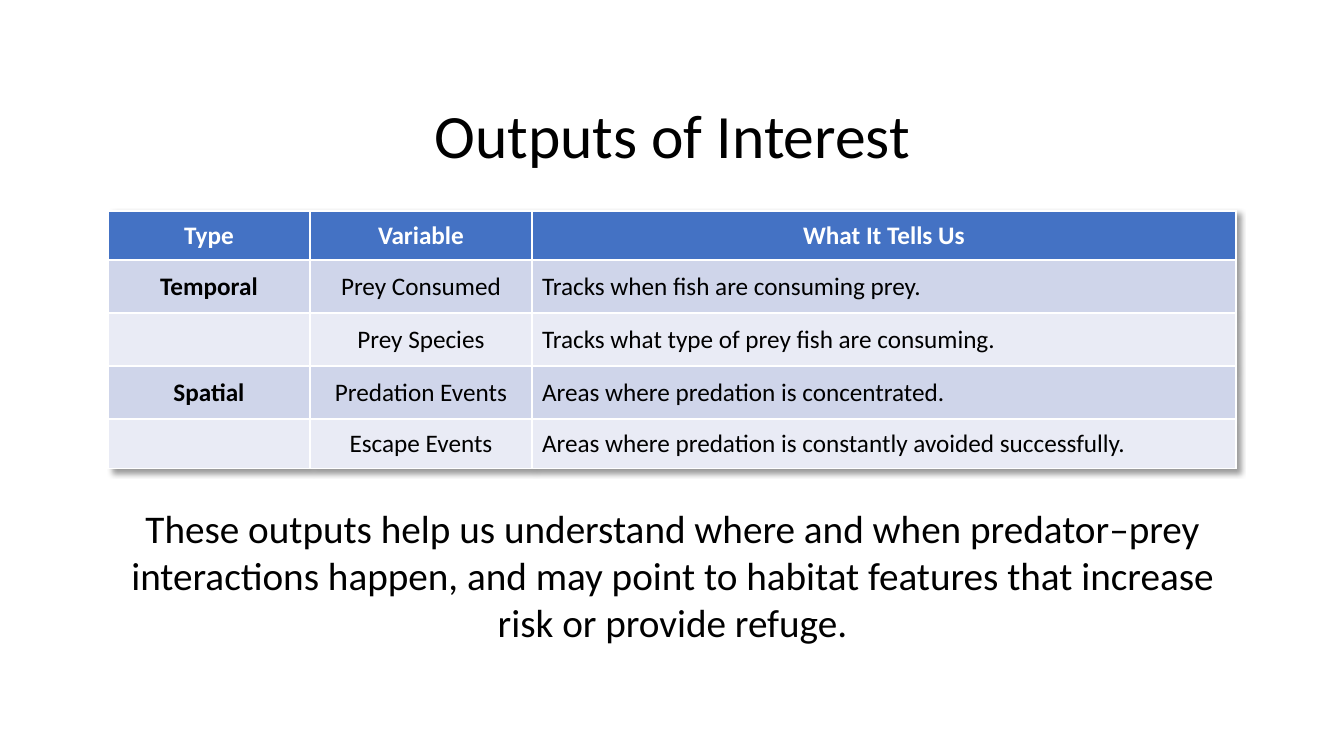
from lxml import etree
from pptx import Presentation
from pptx.dml.color import RGBColor
from pptx.enum.text import MSO_ANCHOR, PP_ALIGN
from pptx.oxml.ns import qn
from pptx.util import Emu, Pt

CENTER, LEFT = PP_ALIGN.CENTER, PP_ALIGN.LEFT
MIDDLE = MSO_ANCHOR.MIDDLE

BLACK = RGBColor(0x00, 0x00, 0x00)
WHITE = RGBColor(0xFF, 0xFF, 0xFF)
HEADER_BLUE = RGBColor(0x44, 0x72, 0xC4)
BAND_DARK = RGBColor(0xCF, 0xD5, 0xEA)
BAND_LIGHT = RGBColor(0xE9, 0xEB, 0xF5)

FONT = "Calibri"
TITLE_LAYOUT = 5
COLUMN_WIDTHS = (202, 222, 704)
ROW_HEIGHTS = (49, 53, 53, 53, 50)
OUTPUTS = (
    ("Type", "Variable", "What It Tells Us"),
    ("Temporal", "Prey Consumed", "Tracks when fish are consuming prey."),
    ("", "Prey Species", "Tracks what type of prey fish are consuming."),
    ("Spatial", "Predation Events", "Areas where predation is concentrated."),
    ("", "Escape Events",
     "Areas where predation is constantly avoided successfully."),
)
TAKEAWAY = (
    "These outputs help us understand where and when predator–prey "
    "interactions happen, and may point to habitat features that increase "
    "risk or provide refuge."
)


def px(length):
    """Convert pixels, 100.8 to the inch, to EMU."""
    return Emu(round(length * 914400 / 100.8))


def format_paragraph(paragraph, size, color, align, bold=False):
    paragraph.alignment = align
    font = paragraph.font
    font.name, font.size, font.bold = FONT, Pt(size), bold
    font.color.rgb = color


def add_title(slide, x, y, width, height):
    title = slide.shapes.title
    title.left, title.top = px(x), px(y)
    title.width, title.height = px(width), px(height)
    frame = title.text_frame
    frame.text = "Outputs of Interest"
    frame.vertical_anchor = MIDDLE
    heading = frame.paragraphs[0]
    heading.line_spacing = 0.9
    format_paragraph(heading, 44, BLACK, CENTER)


def add_table_shadow(table):
    """Cast a soft shadow down and to the right of the table."""
    effects = etree.Element(qn("a:effectLst"))
    shadow = etree.SubElement(
        effects, qn("a:outerShdw"), blurRad="50800", dist="38100",
        dir="2700000", algn="tl", rotWithShape="0")
    color = etree.SubElement(shadow, qn("a:prstClr"), val="black")
    etree.SubElement(color, qn("a:alpha"), val="40000")
    table._tbl.tblPr.insert(0, effects)


def add_outputs_table(slide, x, y):
    outputs = slide.shapes.add_table(
        len(ROW_HEIGHTS), len(COLUMN_WIDTHS), px(x), px(y),
        px(sum(COLUMN_WIDTHS)), px(sum(ROW_HEIGHTS))).table
    for column, width in zip(outputs.columns, COLUMN_WIDTHS):
        column.width = px(width)
    for row, height in zip(outputs.rows, ROW_HEIGHTS):
        row.height = px(height)
    for r, entries in enumerate(OUTPUTS):
        header = r == 0
        band = BAND_DARK if r % 2 else BAND_LIGHT
        for c, entry in enumerate(entries):
            cell = outputs.cell(r, c)
            cell.fill.solid()
            cell.fill.fore_color.rgb = HEADER_BLUE if header else band
            cell.vertical_anchor = MIDDLE
            cell.text = entry
            format_paragraph(
                cell.text_frame.paragraphs[0], 18,
                WHITE if header else BLACK,
                CENTER if header or c < 2 else LEFT,
                bold=header or c == 0)
    add_table_shadow(outputs)


def add_takeaway(slide, x, y, width, height):
    box = slide.shapes.add_textbox(px(x), px(y), px(width), px(height))
    frame = box.text_frame
    frame.word_wrap = True
    frame.text = TAKEAWAY
    format_paragraph(frame.paragraphs[0], 28, BLACK, CENTER)


def main():
    deck = Presentation()
    deck.slide_width, deck.slide_height = px(1344), px(756)
    slide = deck.slides.add_slide(deck.slide_layouts[TITLE_LAYOUT])
    add_title(slide, 93, 66, 1159, 146)
    add_outputs_table(slide, 108, 211)
    add_takeaway(slide, 100, 499, 1145, 152)
    deck.save("out.pptx")


if __name__ == "__main__":
    main()
